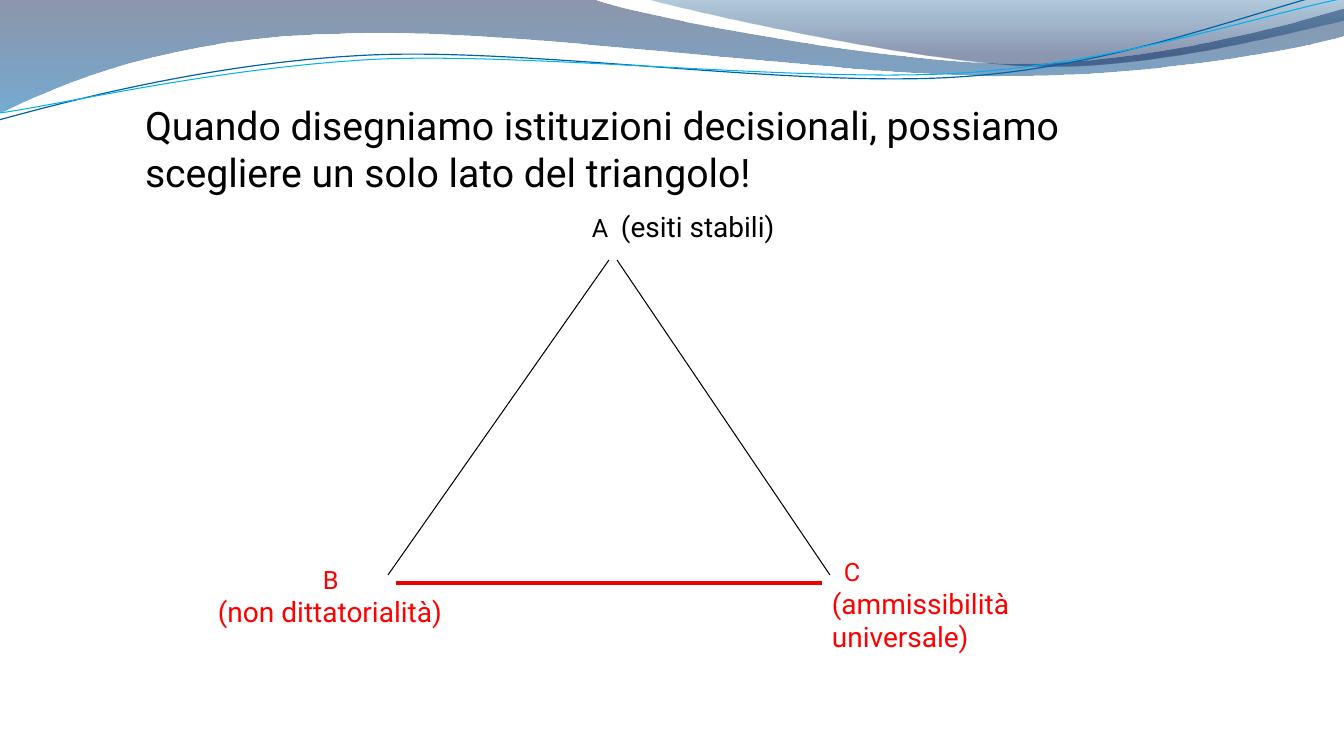
from math import cos, radians, sin

from lxml.etree import SubElement
from pptx import Presentation
from pptx.dml.color import RGBColor
from pptx.enum.shapes import MSO_CONNECTOR
from pptx.enum.text import MSO_ANCHOR, MSO_AUTO_SIZE
from pptx.oxml.ns import qn
from pptx.util import Emu, Pt

BLACK = RGBColor(0x00, 0x00, 0x00)
RED = RGBColor(0xFF, 0x00, 0x00)
SIDE_RED = RGBColor(0xEE, 0x00, 0x00)
NAVY = RGBColor(0x00, 0x18, 0x47)
BLUE = RGBColor(0x00, 0x66, 0xAE)
STEEL = RGBColor(0x00, 0x53, 0x8E)
INDIGO = RGBColor(0x00, 0x1C, 0x55)
DEEP_LINE = RGBColor(0x00, 0x63, 0xA9)
SKY_LINE = RGBColor(0x00, 0xB0, 0xF0)

FONT = "Roboto"
EMU_PER_PX = 914400 / 100.8
RIPPLE_TILT = 2.7

BANDS = [
    ([[(0, 0)], [(592, -1)],
      [(639, 17), (892, 64), (1019, 64)], [(1147, 64), (1288, 26), (1344, 9)],
      [(1346, 36)],
      [(1322, 44), (1169, 77), (1002, 76)], [(836, 76), (513, 28), (346, 34)],
      [(172, 36), (61, 84), (-1, 114)]],
     [(0, NAVY, 45), (1, BLUE, 55)]),
    ([[(644, -1)],
      [(685, 11), (916, 62), (1033, 66)], [(1150, 70), (1292, 32), (1344, 21)],
      [(1344, 0)]],
     [(0, STEEL, 30), (0.8, INDIGO, 45)]),
]
RIPPLES = [
    ([[(-1, 120)], [(65, 102), (213, 62), (372, 55)],
      [(531, 48), (796, 88), (958, 77)], [(1119, 67), (1262, 8), (1342, -10)]],
     DEEP_LINE, 0.85),
    ([[(0, 113)], [(64, 104), (220, 67), (381, 59)],
      [(541, 53), (802, 83), (963, 73)], [(1124, 62), (1265, 14), (1345, -2)]],
     SKY_LINE, 0.75),
]


def px(length):
    return Emu(round(length * EMU_PER_PX))


def tilt(outline, pivot, degrees):
    c, s = cos(radians(degrees)), sin(radians(degrees))
    return [[(pivot[0] + (x - pivot[0]) * c - (y - pivot[1]) * s,
              pivot[1] + (x - pivot[0]) * s + (y - pivot[1]) * c)
             for x, y in step] for step in outline]


def add_outline(shapes, box, outline, close):
    left, top = box[:2]
    steps = [[(px(left + x), px(top + y)) for x, y in step] for step in outline]
    ends = [step[-1] for step in steps]
    builder = shapes.build_freeform(*ends[0], scale=1.0)
    builder.add_line_segments(ends[1:], close=close)
    wave = builder.convert_to_shape()
    wave.shadow.inherit = False
    origin_x, origin_y = (min(axis) for axis in zip(*ends))
    segments = list(wave.element.spPr.iter(qn("a:lnTo")))
    for segment, step in zip(segments, steps[1:]):
        if len(step) == 3:
            curve = SubElement(segment.getparent(), qn("a:cubicBezTo"))
            for x, y in step:
                SubElement(curve, qn("a:pt"), x=str(x - origin_x), y=str(y - origin_y))
            segment.getparent().replace(segment, curve)
    return wave


def draw_waves(slide, box):
    for outline, shades in BANDS:
        band = add_outline(slide.shapes, box, outline, True)
        band.line.fill.background()
        band.fill.gradient()
        band.fill.gradient_angle = 270
        for stop, (position, color, opacity) in zip(band.fill.gradient_stops, shades):
            stop.position = position
            stop.color.rgb = color
        for tint, shade in zip(band.element.spPr.iter(qn("a:srgbClr")), shades):
            SubElement(tint, qn("a:alpha"), val=str(shade[2] * 1000))
    ripples = slide.shapes.add_group_shape()
    for outline, color, weight in RIPPLES:
        pivot = (box[2] / 2, box[3] / 2)
        level = tilt(outline, pivot, RIPPLE_TILT)
        xs, ys = zip(*(step[-1] for step in level))
        center = ((min(xs) + max(xs)) / 2, (min(ys) + max(ys)) / 2)
        (drawn_center,), = tilt([[center]], pivot, -RIPPLE_TILT)
        shift = (drawn_center[0] - center[0], drawn_center[1] - center[1])
        level = [[(x + shift[0], y + shift[1]) for x, y in step] for step in level]
        ripple = add_outline(ripples.shapes, box, level, False)
        ripple.rotation = 360 - RIPPLE_TILT
        ripple.fill.background()
        ripple.line.color.rgb = color
        ripple.line.width = Pt(weight)


def add_frame(slide, left, top, width, height):
    frame = slide.shapes.add_textbox(px(left), px(top), px(width), px(height)).text_frame
    frame.word_wrap = True
    return frame


def add_run(paragraph, words, size, color):
    run = paragraph.add_run()
    run.text = words
    run.font.name = FONT
    run.font.size = Pt(size)
    run.font.color.rgb = color


def draw_title(slide, box):
    frame = add_frame(slide, *box)
    frame.vertical_anchor = MSO_ANCHOR.BOTTOM
    frame.margin_left = frame.margin_right = frame.margin_bottom = 0
    add_run(frame.paragraphs[0],
            "Quando disegniamo istituzioni decisionali, possiamo scegliere un solo lato del triangolo!",
            28, BLACK)


def add_side(slide, start, end, color, weight):
    side = slide.shapes.add_connector(MSO_CONNECTOR.STRAIGHT, *map(px, start + end))
    side.line.color.rgb = color
    side.line.width = Pt(weight)
    SubElement(side.element.spPr, qn("a:effectLst"))


def add_vertex(slide, box, letter, meaning, color, indent, tab=None):
    frame = add_frame(slide, *box)
    frame.auto_size = MSO_AUTO_SIZE.SHAPE_TO_FIT_TEXT
    heading = frame.paragraphs[0]
    properties = heading._p.get_or_add_pPr()
    if tab:
        frame.margin_left = px(10 + indent)
        stops = SubElement(properties, qn("a:tabLst"))
        SubElement(stops, qn("a:tab"), pos=str(px(tab)), algn="l")
        add_run(heading, letter + "\t", 18, color)
        add_run(heading, meaning, 20, color)
    else:
        properties.set("marL", str(px(indent)))
        properties.set("indent", "0")
        add_run(heading, letter, 18, color)
        add_run(frame.add_paragraph(), meaning, 20, color)


def draw_triangle(slide, box):
    left, top, width, height = box
    right, bottom, apex = left + width, top + height, left + width // 2 + 4
    gap = 8
    add_side(slide, (apex - gap // 2, top), (left, bottom), BLACK, 0.75)
    add_side(slide, (left + gap, bottom + gap), (right - gap, bottom + gap), SIDE_RED, 2.75)
    add_side(slide, (apex + gap // 2, top), (right, bottom), BLACK, 0.75)
    add_vertex(slide, (apex - 43, top - 55, 607, 44), "A", "(esiti stabili)", BLACK, 12, 29)
    add_vertex(slide, (left - 180, bottom - 16, 313, 75), "B", "(non dittatorialità)", RED, 105)
    add_vertex(slide, (right - 8, bottom - 24, 252, 109), "C",
               "(ammissibilità universale)", RED, 12)


def main():
    deck = Presentation()
    deck.slide_width, deck.slide_height = px(1344), px(756)
    slide = deck.slides.add_slide(deck.slide_layouts[6])
    draw_waves(slide, (0, 0, 1344, 120))
    draw_triangle(slide, (388, 260, 442, 315))
    draw_title(slide, (145, 96, 1076, 99))
    deck.save("out.pptx")


if __name__ == "__main__":
    main()
